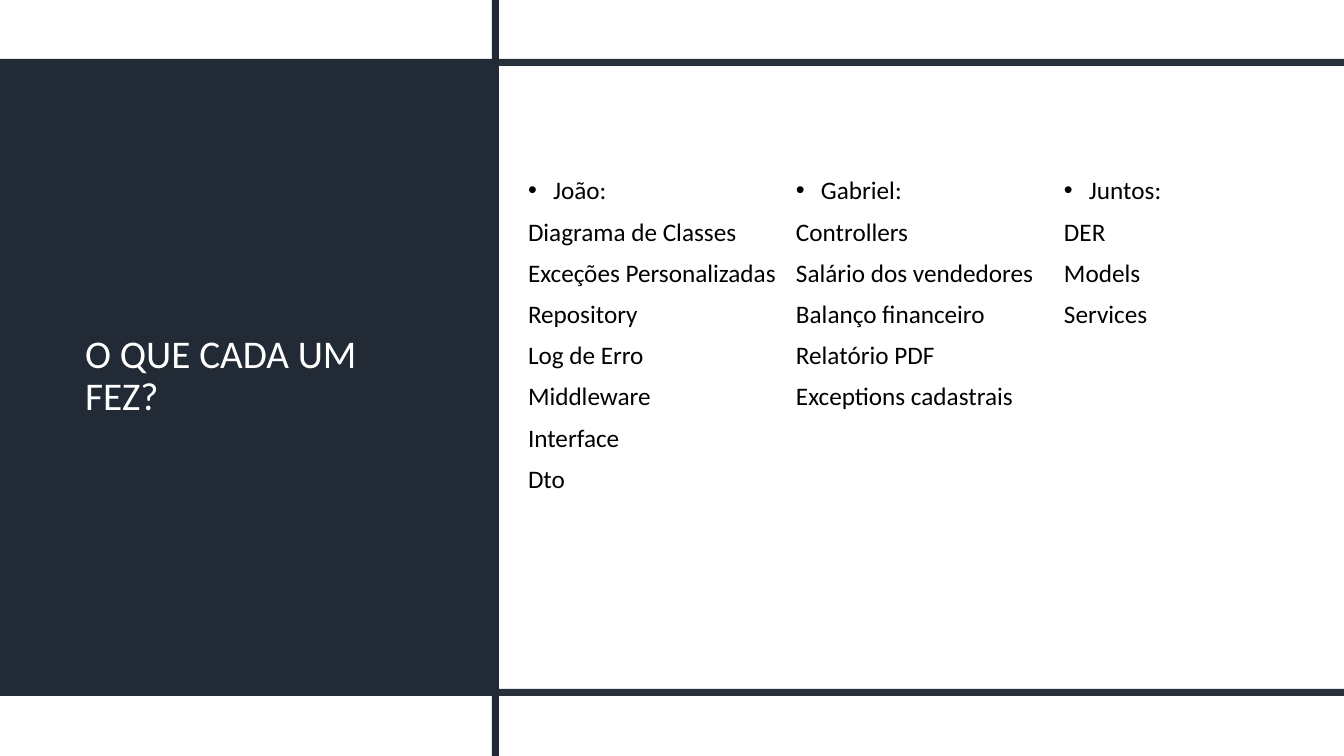
"""Build the slide that lists who did what in the project."""
import lxml.etree
import pptx
import pptx.dml.color
import pptx.enum.shapes
import pptx.enum.text
import pptx.oxml.ns
import pptx.util

TITLE = "O QUE CADA UM FEZ?"
COLUMNS = [
    ("João:", ["Diagrama de Classes", "Exceções Personalizadas", "Repository",
               "Log de Erro", "Middleware", "Interface", "Dto"]),
    ("Gabriel:", ["Controllers", "Salário dos vendedores", "Balanço financeiro",
                  "Relatório PDF", "Exceptions cadastrais"]),
    ("Juntos:", ["DER", "Models", "Services"]),
]
COLORS = {"navy": "222A35", "white": "FFFFFF", "black": "000000"}
FONT = "Calibri"
WIDTH, HEIGHT = 1344, 756
BAR = 7
PANEL = (0, 59, 499, 637)
BARS = [
    ((0, 59, WIDTH, BAR), 97),
    ((0, 689, WIDTH, BAR), 97),
    ((492, 0, BAR, HEIGHT), 100),
]
TITLE_BOX = (75, 160, 342, 434)
LIST_LEFT, LIST_TOP, COLUMN_WIDTH, LIST_HEIGHT = 528, 178, 268, 330
BULLET_INDENT = 25


def px(length):
    return pptx.util.Emu(round(length * 914400 / 100.8))


def rgb(name):
    return pptx.dml.color.RGBColor.from_string(COLORS[name])


def add_block(page, area, opacity=100):
    block = page.shapes.add_shape(
        pptx.enum.shapes.MSO_SHAPE.RECTANGLE, *map(px, area))
    block.shadow.inherit = False
    block.fill.solid()
    block.fill.fore_color.rgb = rgb("navy")
    block.line.fill.background()
    if opacity < 100:
        color = block.fill._xPr.find(".//" + pptx.oxml.ns.qn("a:srgbClr"))
        lxml.etree.SubElement(
            color, pptx.oxml.ns.qn("a:alpha"), val=str(opacity * 1000))


def write(para, text, size, color):
    para.alignment = pptx.enum.text.PP_ALIGN.LEFT
    para.line_spacing = 0.9
    span = para.add_run()
    span.text = text
    span.font.name = FONT
    span.font.size = pptx.util.Pt(size)
    span.font.color.rgb = rgb(color)


def add_bullet(para):
    props = para._p.get_or_add_pPr()
    props.set("marL", str(px(BULLET_INDENT)))
    props.set("indent", str(-px(BULLET_INDENT)))
    lxml.etree.SubElement(props, pptx.oxml.ns.qn("a:buFont"), typeface="Arial")
    lxml.etree.SubElement(props, pptx.oxml.ns.qn("a:buChar"), char="•")


def add_column(page, index, name, tasks):
    left = LIST_LEFT + index * COLUMN_WIDTH
    box = page.shapes.add_textbox(
        *map(px, (left, LIST_TOP, COLUMN_WIDTH, LIST_HEIGHT)))
    frame = box.text_frame
    frame.word_wrap = True
    frame.margin_left = frame.margin_right = 0
    frame.margin_top = frame.margin_bottom = 0
    for row, text in enumerate([name] + tasks):
        para = frame.add_paragraph() if row else frame.paragraphs[0]
        write(para, text, 18, "black")
        para.space_after = pptx.util.Pt(10)
        if row == 0:
            add_bullet(para)


def place_title(page):
    title = page.shapes.title
    title.left, title.top, title.width, title.height = map(px, TITLE_BOX)
    frame = title.text_frame
    frame.word_wrap = True
    frame.auto_size = pptx.enum.text.MSO_AUTO_SIZE.NONE
    frame.vertical_anchor = pptx.enum.text.MSO_ANCHOR.MIDDLE
    write(frame.paragraphs[0], TITLE, 28, "white")
    page.shapes._spTree.append(title._element)


def main():
    deck = pptx.Presentation()
    deck.slide_width, deck.slide_height = px(WIDTH), px(HEIGHT)
    page = deck.slides.add_slide(deck.slide_layouts.get_by_name("Title Only"))
    add_block(page, PANEL)
    place_title(page)
    for area, opacity in BARS:
        add_block(page, area, opacity)
    for index, (name, tasks) in enumerate(COLUMNS):
        add_column(page, index, name, tasks)
    deck.save("out.pptx")


if __name__ == "__main__":
    main()
